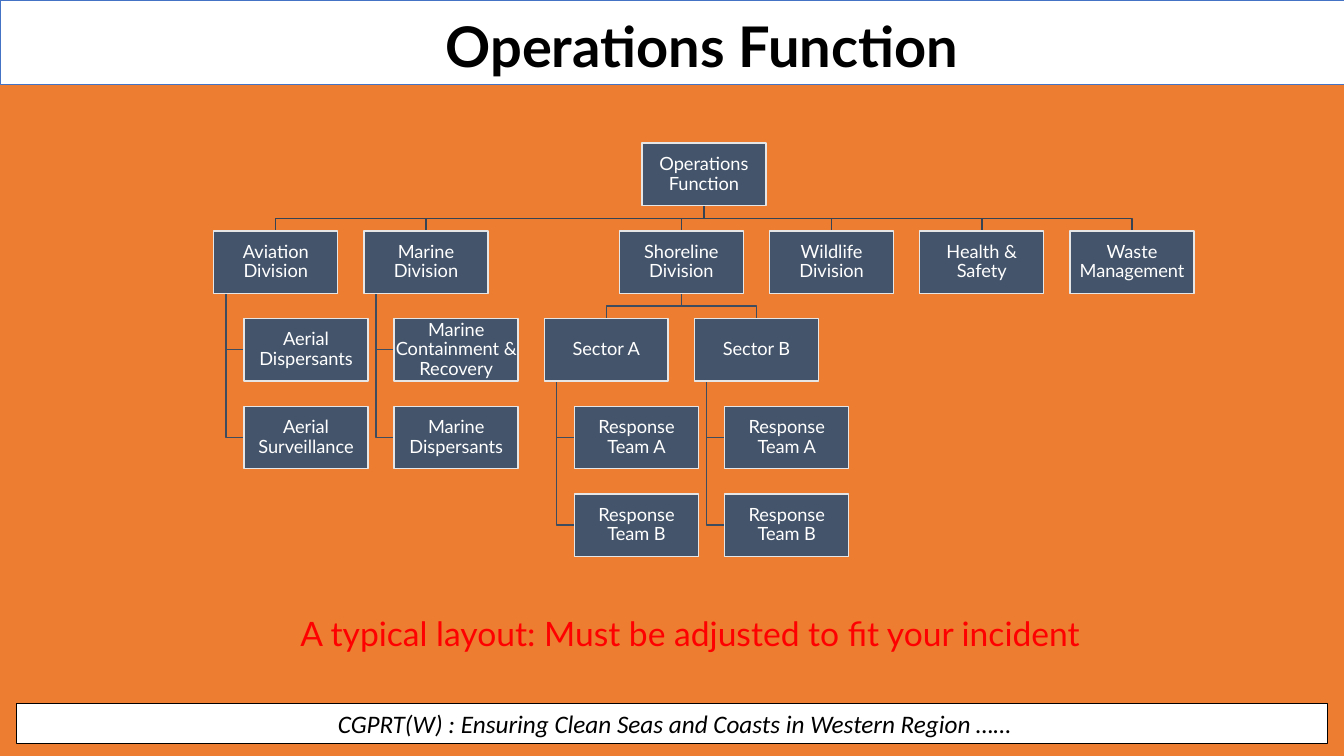
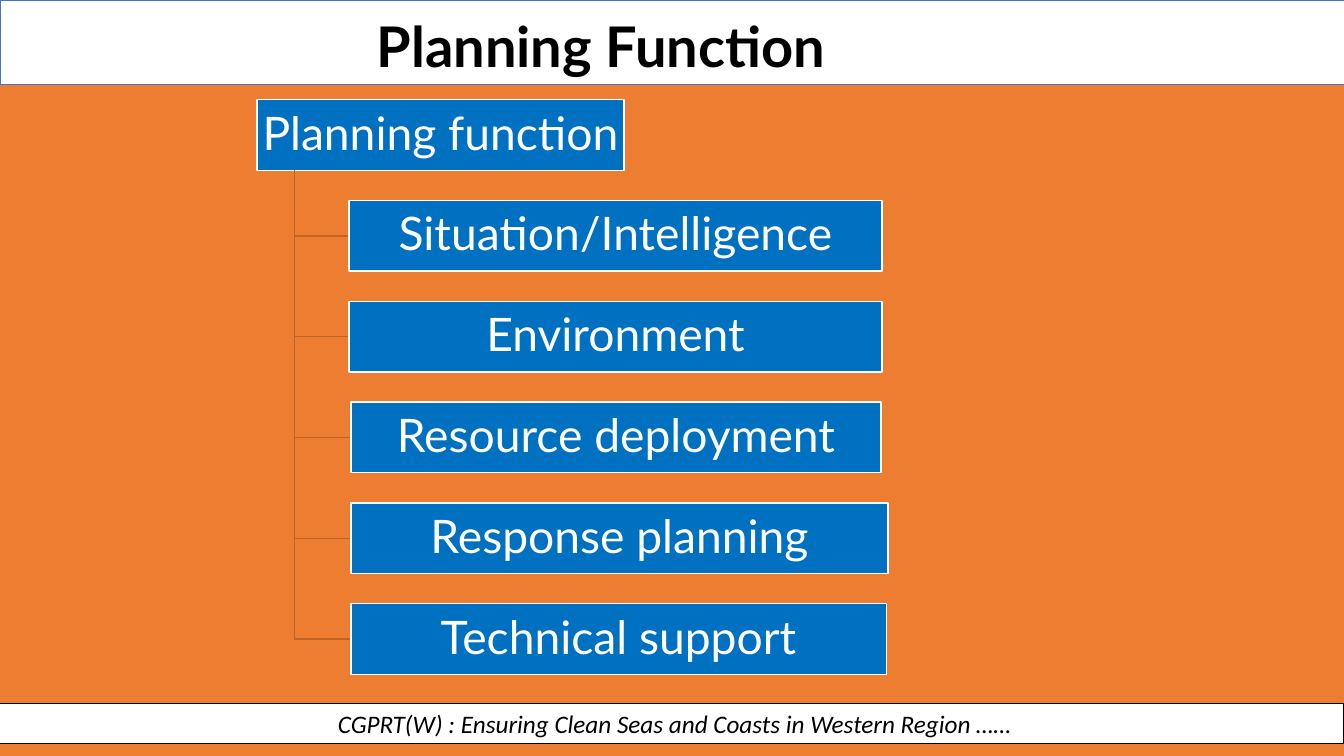
from pptx import Presentation
from pptx import util as u
from pptx.dml.color import RGBColor
from pptx.enum import shapes, text

WIDTH, HEIGHT = 13.33, 7.5
ORANGE = RGBColor(0xED, 0x7D, 0x31)
WHITE = RGBColor(0xFF, 0xFF, 0xFF)
BLACK = RGBColor(0, 0, 0)
RED = RGBColor(0xFF, 0, 0)
BAND_LINE = RGBColor(0x44, 0x72, 0xC4)
SLATE = RGBColor(0x44, 0x54, 0x6A)
SLATE_EDGE = RGBColor(0xE7, 0xE6, 0xE6)
SLATE_TOP = RGBColor(0x36, 0x43, 0x55)
SLATE_LOW = RGBColor(0x3E, 0x4C, 0x60)
BLUE = RGBColor(0, 0x70, 0xC0)
RUST = RGBColor(0xBE, 0x64, 0x27)

FOOTER = " CGPRT(W) : Ensuring Clean Seas and Coasts in Western Region ……"
NOTE = "A typical layout: Must be adjusted to fit your incident"

TEAMS = ["Response Team A", "Response Team B"]
DIVISIONS = [
    ("Aviation Division", 0, ["Aerial Dispersants", "Aerial Surveillance"]),
    ("Marine Division", 1, ["Marine Containment & Recovery", "Marine Dispersants"]),
    ("Shoreline Division", 2.7, [("Sector A", 2.2, TEAMS), ("Sector B", 3.2, TEAMS)]),
    ("Wildlife Division", 3.7, []),
    ("Health & Safety", 4.7, []),
    ("Waste Management", 5.7, []),
]
OPERATIONS = ("Operations Function", 2.85, DIVISIONS)

PLANNING = ("Planning function", 2.55, 3.64)
PLANNING_UNITS = [
    ("Situation/Intelligence", 3.46, 5.29),
    ("Environment", 3.46, 5.29),
    ("Resource deployment", 3.48, 5.26),
    ("Response planning", 3.48, 5.33),
    ("Technical support", 3.48, 5.31),
]

CHART_LEFT, CHART_TOP = 2.12, 1.42
COLUMN, ROW = 1.49, 0.87
BOX_WIDTH, BOX_HEIGHT = 1.23, 0.62
INDENT, TRUNK = 0.3, 0.12
UNIT_TOP, UNIT_ROW, UNIT_HEIGHT, UNIT_TRUNK = 0.99, 1, 0.7, 2.92


def write(shape, content, size, color=WHITE, font="Lato", bold=False, italic=False,
          spacing=0.9, inset=None, anchor=text.MSO_ANCHOR.MIDDLE):
    frame = shape.text_frame
    frame.word_wrap = True
    frame.vertical_anchor = anchor
    if inset is not None:
        frame.margin_left = frame.margin_right = u.Inches(inset)
        frame.margin_top = frame.margin_bottom = u.Inches(inset)
    paragraph = frame.paragraphs[0]
    paragraph.alignment = text.PP_ALIGN.CENTER
    paragraph.line_spacing = spacing
    run = paragraph.add_run()
    run.text = content
    run.font.name, run.font.size = font, u.Pt(size)
    run.font.bold, run.font.italic = bold, italic
    run.font.color.rgb = color


def add_box(slide, left, top, width, height, fill, line, weight=1):
    shape = slide.shapes.add_shape(
        shapes.MSO_SHAPE.RECTANGLE, *map(u.Inches, (left, top, width, height)))
    shape.shadow.inherit = False
    shape.fill.solid()
    shape.fill.fore_color.rgb = fill
    shape.line.color.rgb = line
    shape.line.width = u.Pt(weight)
    return shape


def add_label(slide, content, left, top, width, height, size, color, **style):
    box = slide.shapes.add_textbox(*map(u.Inches, (left, top, width, height)))
    write(box, content, size, color, anchor=text.MSO_ANCHOR.TOP, **style)


def add_elbow(slide, points, color):
    start, *rest = [(u.Inches(x), u.Inches(y)) for x, y in points]
    builder = slide.shapes.build_freeform(*start)
    builder.add_line_segments(rest, close=False)
    elbow = builder.convert_to_shape()
    elbow.shadow.inherit = False
    elbow.fill.background()
    elbow.line.color.rgb = color
    elbow.line.width = u.Pt(1)


def add_slide(presentation, title, title_left, footer_margin):
    slide = presentation.slides.add_slide(presentation.slide_layouts[6])
    slide.background.fill.solid()
    slide.background.fill.fore_color.rgb = ORANGE
    footer = add_box(slide, footer_margin, 6.98, WIDTH - 2 * footer_margin, 0.4,
                     WHITE, BLACK, 0.75)
    write(footer, FOOTER, 18, BLACK, font="Calibri", italic=True, spacing=1)
    add_box(slide, 0, 0, WIDTH, 0.84, WHITE, BAND_LINE, 0.5)
    add_label(slide, title, title_left, 0.14, 9, 0.61, 40, BLACK, bold=True)
    return slide


def add_chart_box(slide, label, left, top):
    box = add_box(slide, left, top, BOX_WIDTH, BOX_HEIGHT, SLATE, SLATE_EDGE)
    write(box, label, 13, inset=0.01)


def add_branch(slide, node, row=0):
    label, column, children = node
    left, top = CHART_LEFT + column * COLUMN, CHART_TOP + row * ROW
    center, bottom = left + BOX_WIDTH / 2, top + BOX_HEIGHT
    for index, child in enumerate(children, 1):
        if isinstance(child, str):
            child_left, child_top = left + INDENT, top + index * ROW
            middle, trunk = child_top + BOX_HEIGHT / 2, left + TRUNK
            add_elbow(slide, [(trunk, bottom), (trunk, middle), (child_left, middle)],
                      SLATE_LOW)
            add_chart_box(slide, child, child_left, child_top)
        else:
            child_center = CHART_LEFT + child[1] * COLUMN + BOX_WIDTH / 2
            child_top = top + ROW
            middle = (bottom + child_top) / 2
            add_elbow(slide, [(center, bottom), (center, middle),
                              (child_center, middle), (child_center, child_top)],
                      SLATE_LOW if row else SLATE_TOP)
            add_branch(slide, child, row + 1)
    add_chart_box(slide, label, left, top)


def add_planning_list(slide):
    for index, (label, left, width) in enumerate([PLANNING] + PLANNING_UNITS):
        top = UNIT_TOP + index * UNIT_ROW
        if index:
            middle = top + UNIT_HEIGHT / 2
            add_elbow(slide, [(UNIT_TRUNK, UNIT_TOP + UNIT_HEIGHT),
                              (UNIT_TRUNK, middle), (left, middle)], RUST)
        box = add_box(slide, left, top, width, UNIT_HEIGHT, BLUE, WHITE)
        write(box, label, 33, inset=0.02)


def main():
    presentation = Presentation()
    presentation.slide_width = u.Inches(WIDTH)
    presentation.slide_height = u.Inches(HEIGHT)

    operations = add_slide(presentation, "Operations Function", 2.46, 0.16)
    add_branch(operations, OPERATIONS)
    add_label(operations, NOTE, 2.43, 6.03, 8.83, 0.51, 24, RED, spacing=1)

    planning = add_slide(presentation, "Planning Function", 1.46, 0)
    add_planning_list(planning)

    presentation.save("out.pptx")


if __name__ == "__main__":
    main()
